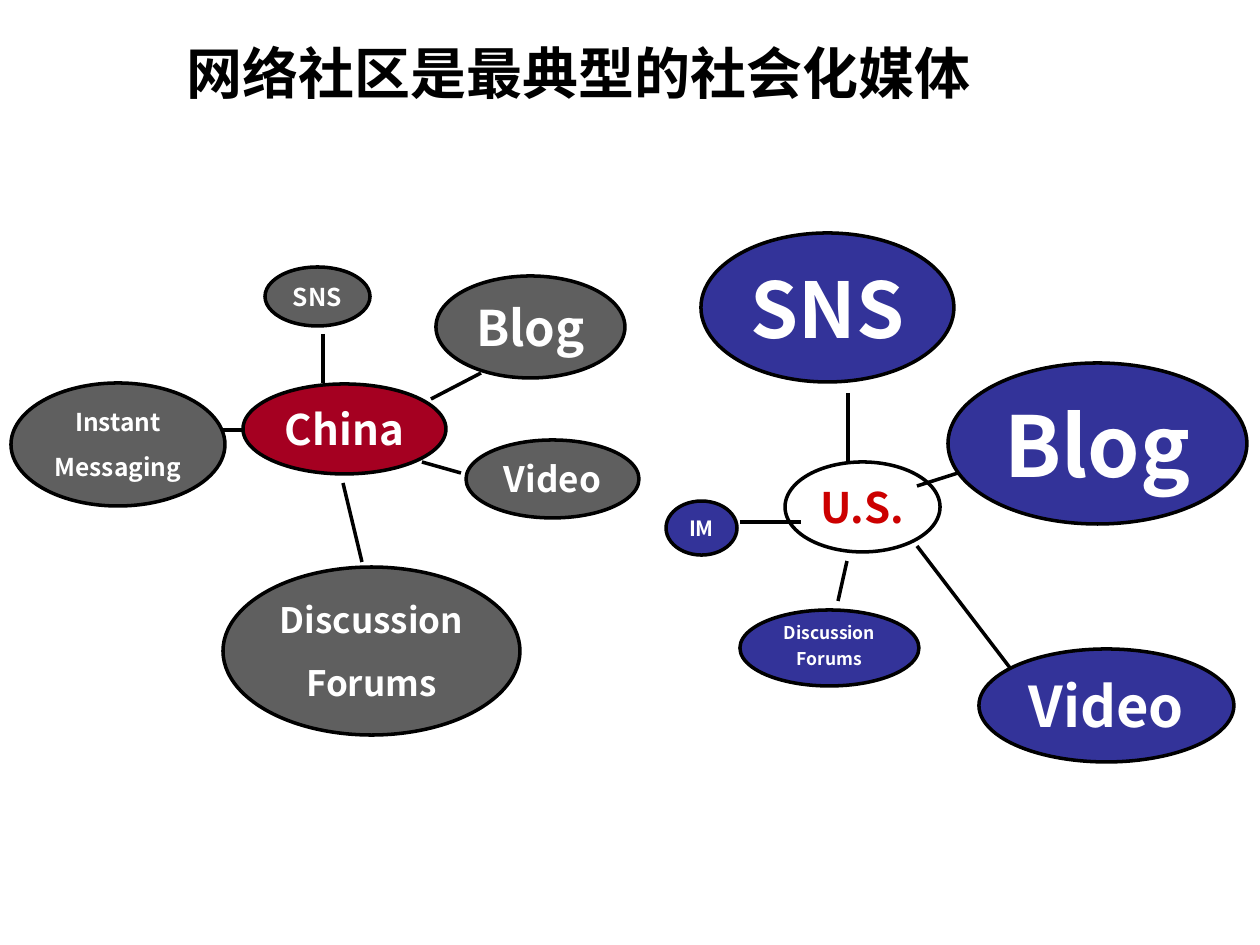
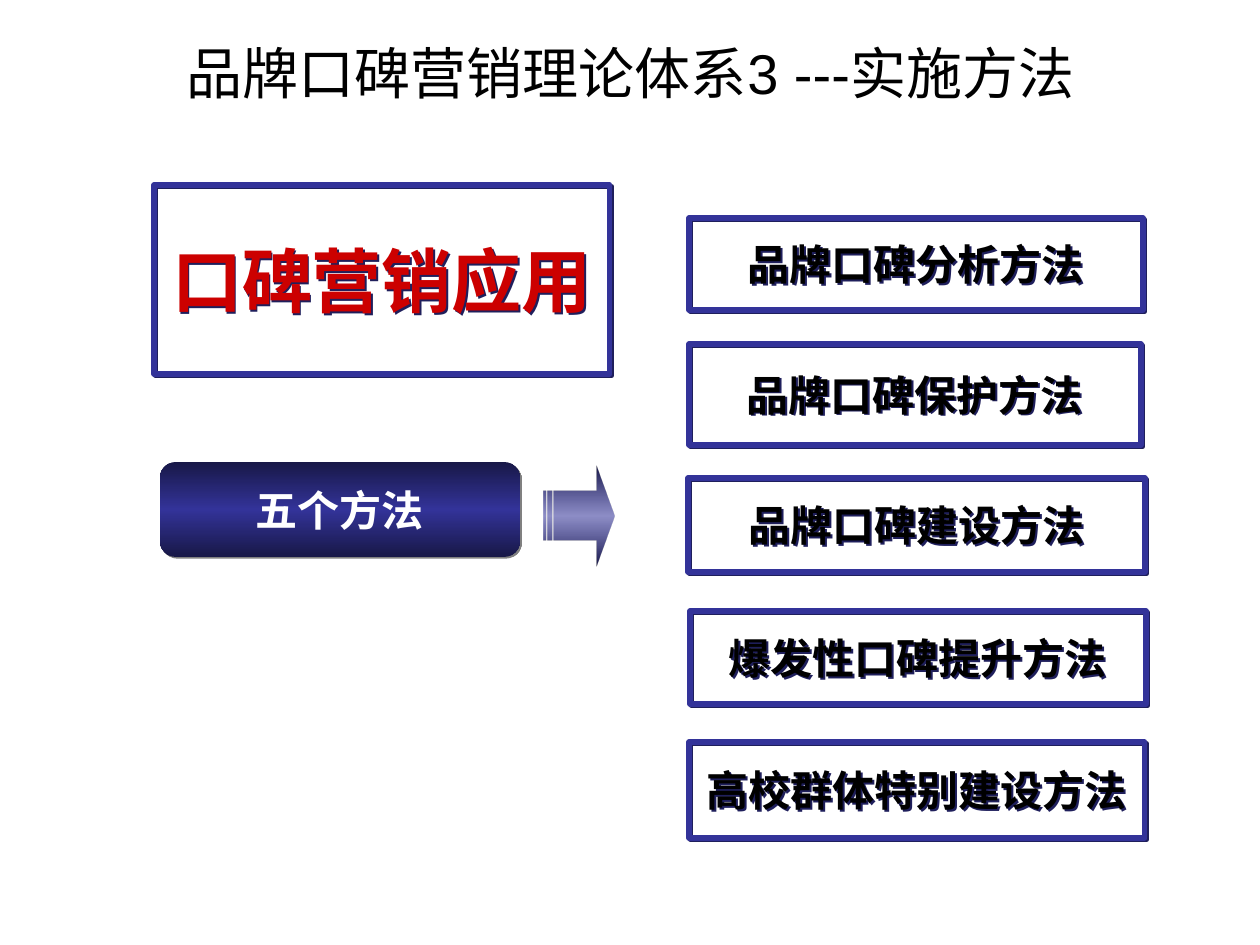
import copy
import dataclasses

import pptx
import pptx.dml.color
import pptx.enum.dml
import pptx.enum.shapes
import pptx.enum.text
import pptx.oxml
import pptx.oxml.ns
import pptx.util

PX_PER_INCH = 126
SCALE = 914400 / PX_PER_INCH
SHAPE = pptx.enum.shapes.MSO_SHAPE
ALIGN = pptx.enum.text.PP_ALIGN
NAMESPACE = pptx.oxml.ns.nsdecls("a")


@dataclasses.dataclass(frozen=True)
class Theme:
    black: str = "000000"
    white: str = "FFFFFF"
    blue: str = "333399"
    navy: str = "181847"
    frame_shadow: str = "1F1F5C"
    pill_shadow: str = "808080"
    gray: str = "5F5F5F"
    crimson: str = "A50021"
    red: str = "CC0000"
    text_font: str = "Arial"
    bubble_font: str = "Noto Sans CJK SC"
    east_asian_font: str = "Noto Sans CJK SC"
    title_size: int = 32
    hub_size: int = 24
    method_size: int = 24
    headline_size: int = 40
    bubble_line: int = 2
    frame_line: int = 3


THEME = Theme()


def px(length):
    return pptx.util.Emu(round(length * SCALE))


def rgb(value):
    return pptx.dml.color.RGBColor.from_string(value)


def place(box, part):
    """Turn a part's box, given relative to an outer box, into EMU."""
    left, top, width, height = part
    return px(box[0] + left), px(box[1] + top), px(width), px(height)


def write(shape, lines, size, color, font=THEME.text_font, bold=True,
          align=ALIGN.CENTER, spacing=None):
    frame = shape.text_frame
    frame.word_wrap = False
    frame.auto_size = pptx.enum.text.MSO_AUTO_SIZE.NONE
    frame.vertical_anchor = pptx.enum.text.MSO_ANCHOR.MIDDLE
    for index, line in enumerate(lines):
        para = frame.add_paragraph() if index else frame.paragraphs[0]
        para.text = line
        para.alignment = align
        para.line_spacing = spacing
        if index:
            para.space_before = pptx.util.Pt(round(size * 0.625, 1))
        para.font.size = pptx.util.Pt(size)
        para.font.bold = bold
        para.font.color.rgb = rgb(color)
        para.font.name = font
        east_asian = pptx.oxml.parse_xml(
            f'<a:ea {NAMESPACE} typeface="{THEME.east_asian_font}"/>')
        para._p.pPr.find(pptx.oxml.ns.qn("a:defRPr")).append(east_asian)


def outline(shape, width):
    shape.line.color.rgb = rgb(THEME.black)
    shape.line.width = pptx.util.Pt(width)


def cast_shadow(shape, color):
    shape.shadow.inherit = False
    effects = shape._element.spPr.find(pptx.oxml.ns.qn("a:effectLst"))
    effects.append(pptx.oxml.parse_xml(
        f'<a:outerShdw {NAMESPACE} dist="17780" dir="2700000" algn="ctr">'
        f'<a:srgbClr val="{color}"/></a:outerShdw>'))


def fill_sheen(shape, middle_alpha=100):
    """Fill from dark to blue to dark, top to bottom."""
    shape.fill.gradient()
    properties = shape._element.spPr
    preset = properties.find(pptx.oxml.ns.qn("a:gradFill"))
    dark = f'<a:srgbClr val="{THEME.navy}"/>'
    sheen = pptx.oxml.parse_xml(
        f'<a:gradFill {NAMESPACE} rotWithShape="1"><a:gsLst>'
        f'<a:gs pos="0">{dark}</a:gs>'
        f'<a:gs pos="50000"><a:srgbClr val="{THEME.blue}">'
        f'<a:alpha val="{middle_alpha * 1000}"/></a:srgbClr></a:gs>'
        f'<a:gs pos="100000">{dark}</a:gs>'
        '</a:gsLst><a:lin ang="5400000" scaled="0"/></a:gradFill>')
    properties.replace(preset, sheen)
    shape.line.fill.background()


def add_titled_page(deck, title, bold):
    page = deck.slides.add_slide(deck.slide_layouts[5])
    holder = page.shapes.title
    holder.left, holder.top, holder.width, holder.height = place(
        (0, 0), (174, 38, 1013, 68))
    write(holder, [title], THEME.title_size, THEME.black, bold=bold,
          align=ALIGN.LEFT)
    return page


def add_bubble(group, box, part, lines, size, fill, color=THEME.white,
               spacing=None):
    bubble = group.shapes.add_shape(SHAPE.OVAL, *place(box, part))
    bubble.shadow.inherit = False
    bubble.fill.solid()
    bubble.fill.fore_color.rgb = rgb(fill)
    outline(bubble, THEME.bubble_line)
    write(bubble, lines, size, color, font=THEME.bubble_font, spacing=spacing)


def add_link(group, box, start, end):
    points = [px(box[axis] + point[axis])
              for point in (start, end) for axis in (0, 1)]
    link = group.shapes.add_connector(
        pptx.enum.shapes.MSO_CONNECTOR.STRAIGHT, *points)
    outline(link, THEME.bubble_line)
    link._element.spPr.append(
        pptx.oxml.parse_xml(f"<a:effectLst {NAMESPACE}/>"))


def add_media_map(page, box, hub, media, links, fill):
    """Draw a country hub, its media bubbles and links; the last bubble is on top."""
    group = page.shapes.add_group_shape()
    add_bubble(group, box, *hub)
    for medium in media[:-1]:
        add_bubble(group, box, *medium[:3], fill, spacing=(medium[3:] or [None])[0])
    for start, end in links:
        add_link(group, box, start, end)
    add_bubble(group, box, *media[-1], fill)


def build_community_page(deck):
    page = add_titled_page(deck, "网络社区是最典型的社会化媒体", bold=True)
    add_media_map(
        page, (666, 233),
        hub=((119, 229, 155, 90), ["U.S."], THEME.hub_size, THEME.white, THEME.red),
        media=[
            ((74, 377, 179, 76), ["Discussion", "Forums"], 10, 0.7),
            ((282, 130, 299, 161), ["Blog"], 48),
            ((0, 268, 71, 54), ["IM"], 12),
            ((35, 0, 253, 149), ["SNS"], 44),
            ((313, 416, 255, 113), ["Video"], 32),
        ],
        links=[
            ((74, 289), (135, 289)),
            ((172, 368), (181, 328)),
            ((182, 160), (182, 231)),
            ((292, 240), (251, 253)),
            ((251, 313), (351, 444)),
        ],
        fill=THEME.blue)
    add_media_map(
        page, (11, 267),
        hub=((232, 117, 203, 90), ["China"], THEME.hub_size, THEME.crimson),
        media=[
            ((212, 300, 297, 168), ["Discussion", "Forums"], 20),
            ((425, 9, 189, 102), ["Blog"], 28),
            ((0, 116, 214, 123), ["Instant", "Messaging"], 14),
            ((254, 0, 105, 59), ["SNS"], 14),
            ((455, 173, 173, 78), ["Video"], 20),
        ],
        links=[
            ((212, 163), (232, 163)),
            ((351, 295), (332, 216)),
            ((312, 67), (312, 116)),
            ((470, 106), (420, 132)),
            ((411, 195), (450, 206)),
        ],
        fill=THEME.gray)


def add_frame(page, box, part, label, size, color):
    frame = page.shapes.add_shape(SHAPE.RECTANGLE, *place(box, part))
    frame.fill.background()
    frame.line.color.rgb = rgb(THEME.blue)
    frame.line.width = pptx.util.Pt(THEME.frame_line)
    cast_shadow(frame, THEME.frame_shadow)
    write(frame, [label], size, color)


def add_striped_arrow(page, box):
    head = [(52, 0), (52, 25), (10, 25), (10, 74), (52, 74), (52, 100), (70, 50)]
    stripes = [[(left, 25), (left, 74), (right, 74), (right, 25)]
               for left, right in ((4, 9), (0, 3))]
    builder = page.shapes.build_freeform(*head[0], scale=SCALE)
    builder.add_line_segments(head[1:], close=True)
    for stripe in stripes:
        builder.move_to(*stripe[0])
        builder.add_line_segments(stripe[1:], close=True)
    arrow = builder.convert_to_shape(px(box[0]), px(box[1]))
    arrow.shadow.inherit = False
    fill_sheen(arrow, middle_alpha=55)


def add_application(page, box):
    add_frame(page, box, (0, 0, 456, 189), "口碑营销应用",
              THEME.headline_size, THEME.red)
    pill = page.shapes.add_shape(SHAPE.ROUNDED_RECTANGLE,
                                 *place(box, (6, 277, 360, 95)))
    fill_sheen(pill)
    cast_shadow(pill, THEME.pill_shadow)
    write(pill, ["五个方法"], THEME.method_size, THEME.white)
    add_striped_arrow(page, (box[0] + 390, box[1] + 281))


def add_methods(page, box):
    methods = [
        ((1, 0, 454, 92), "品牌口碑分析方法"),
        ((1, 126, 452, 101), "品牌口碑保护方法"),
        ((0, 260, 457, 94), "品牌口碑建设方法"),
        ((2, 393, 456, 93), "爆发性口碑提升方法"),
        ((1, 524, 456, 96), "高校群体特别建设方法"),
    ]
    for part, label in methods:
        add_frame(page, box, part, label, THEME.method_size, THEME.black)


def build_methods_page(deck):
    page = add_titled_page(deck, "品牌口碑营销理论体系3 ---实施方法", bold=False)
    add_application(page, (154, 185))
    add_methods(page, (688, 218))


def main():
    deck = pptx.Presentation()
    deck.slide_width, deck.slide_height = px(1260), px(945)
    build_community_page(deck)
    build_methods_page(deck)
    deck.save("out.pptx")


if __name__ == "__main__":
    main()
